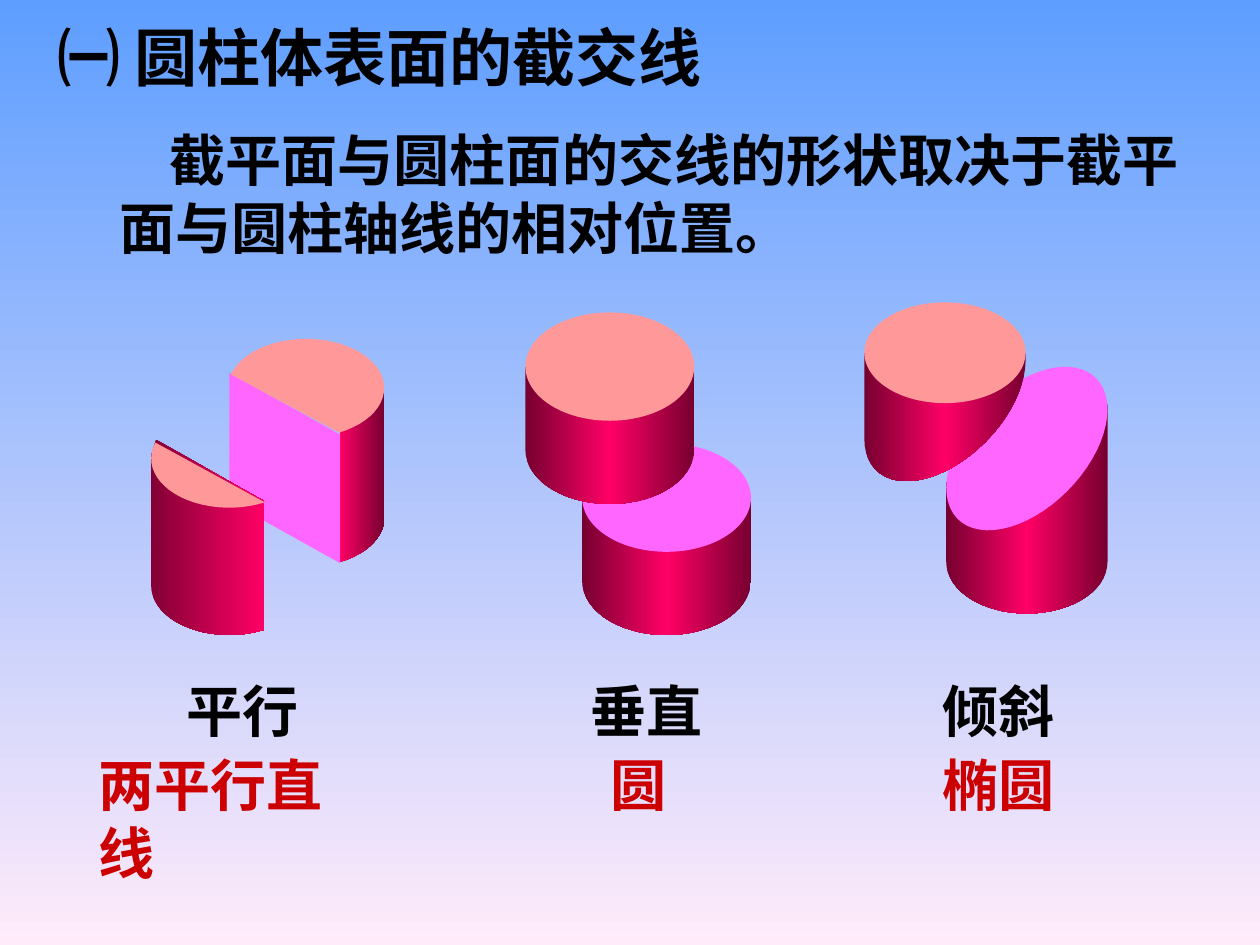
from copy import deepcopy
from dataclasses import dataclass
from math import cos, radians, sin

from lxml import etree
from pptx import Presentation
from pptx.dml.color import RGBColor
from pptx.enum.shapes import MSO_SHAPE
from pptx.enum.text import MSO_AUTO_SIZE
from pptx.oxml.ns import qn
from pptx.util import Inches, Pt

OVAL = MSO_SHAPE.OVAL
GROW = MSO_AUTO_SIZE.SHAPE_TO_FIT_TEXT


@dataclass(frozen=True)
class Theme:
    font: str = "Noto Sans CJK SC"
    title: int = 36
    body: int = 32
    ink: str = "000000"
    red: str = "CC0000"
    sky: tuple = ("5E9EFF", "FFEBFA")
    top: str = "FF9999"
    cut: str = "FF66FF"
    side: tuple = ("76002F", "FF0066", "76002F")
    left: tuple = ("820034", "FF0066")
    right: tuple = ("FF0066", "76002F")


THEME = Theme()


def blend(fill, root, tones, angle):
    fill.gradient()
    fill.gradient_angle = angle
    stops = next(root.iter(qn("a:gsLst")))
    while len(stops) < len(tones):
        stops.append(deepcopy(stops[0]))
    for i, (stop, tone) in enumerate(zip(fill.gradient_stops, tones)):
        stop.position = i / (len(tones) - 1)
        stop.color.rgb = RGBColor.from_string(tone)


def paint(shape, tone):
    shape.shadow.inherit = False
    shape.line.fill.background()
    if isinstance(tone, tuple):
        blend(shape.fill, shape._element.spPr, tone, 0)
    else:
        shape.fill.solid()
        shape.fill.fore_color.rgb = RGBColor.from_string(tone)


def add_text(slide, text, box, size, tone, wrap=False, indent=0):
    frame = slide.shapes.add_textbox(*map(Inches, box)).text_frame
    frame.word_wrap = wrap
    frame.auto_size = GROW
    para = frame.paragraphs[0]
    if indent:
        para._p.get_or_add_pPr().set("indent", str(Inches(indent)))
    run = para.add_run()
    run.text = text
    font = run.font
    font.size = Pt(size)
    font.bold = True
    font.color.rgb = RGBColor.from_string(tone)
    font.name = THEME.font
    etree.SubElement(run._r.rPr, qn("a:ea"), typeface=THEME.font)


def arc(x, y, rx, ry, start, end, skew=0):
    count = max(2, round(abs(end - start) / 6))
    turns = [radians(start + (end - start) * i / count) for i in range(count + 1)]
    return [(x + rx * cos(t), y + skew * cos(t) + ry * sin(t)) for t in turns]


def add_face(group, points, tone):
    spots = [(Inches(x), Inches(y)) for x, y in points]
    build = group.shapes.build_freeform(*spots[0], scale=1.0)
    build.add_line_segments(spots[1:], close=True)
    paint(build.convert_to_shape(), tone)


def add_disc(group, x, y, rx, ry, tone):
    box = (x - rx, y - ry, 2 * rx, 2 * ry)
    paint(group.shapes.add_shape(OVAL, *map(Inches, box)), tone)


def add_side(group, x, top, base, rx, ry, skew=0, drop=0):
    rim = [(x + rx, top - drop), (x - rx, top + drop)]
    add_face(group, rim + arc(x, base, rx, ry, 180, 0, skew), THEME.side)


def draw_split(slide):
    group = slide.shapes.add_group_shape()
    rx, ry = 0.62, 0.39
    add_face(group, [(2.7, 3.41), (3.05, 3.05)] + arc(2.43, 4.11, rx, ry, 0, 65), THEME.right)
    add_face(group, [(1.82, 2.96), (1.82, 3.98), (2.7, 4.47), (2.7, 3.45)], THEME.cut)
    add_face(group, arc(2.43, 3.08, rx, ry, 196, 425), THEME.top)
    add_face(group, [(2.1, 3.98), (1.24, 3.49), (1.2, 3.61)]
             + arc(1.82, 4.65, rx, ry, 180, 63), THEME.left)
    add_face(group, arc(1.82, 3.64, rx, ry, 63, 199), THEME.top)


def draw_level(slide):
    group = slide.shapes.add_group_shape()
    rx, ry = 0.67, 0.43
    for x, y, tone in ((5.29, 3.95, THEME.cut), (4.84, 2.91, THEME.top)):
        add_side(group, x, y, y + 0.66, rx, ry)
        add_disc(group, x, y, rx, ry, tone)


def draw_slant(slide):
    group = slide.shapes.add_group_shape()
    rx, tilt, skew = 0.64, 0.57, -0.31
    add_side(group, 8.15, 3.52, 4.46, rx, 0.41, drop=0.31)
    add_face(group, arc(8.15, 3.56, rx, tilt, 0, 360, skew), THEME.cut)
    add_side(group, 7.5, 2.8, 3.17, rx, tilt, skew)
    add_disc(group, 7.5, 2.8, rx, 0.4, THEME.top)


def main():
    deck = Presentation()
    deck.slide_width, deck.slide_height = Inches(10), Inches(7.5)
    slide = deck.slides.add_slide(deck.slide_layouts[6])
    back = slide.background.fill
    blend(back, slide._element, THEME.sky, 270)

    add_text(slide, "㈠ 圆柱体表面的截交线", (0.36, 0.1, 5.33, 0.7), THEME.title, THEME.ink)
    add_text(slide, "截平面与圆柱面的交线的形状取决于截平面与圆柱轴线的相对位置。",
             (0.85, 0.95, 8.73, 1.17), THEME.body, THEME.ink, True, 0.4)

    labels = (
        ("平行", 1.38, 1.09, "两平行直线", 0.68, 2.42),
        ("垂直", 4.59, 1.09, "圆", 4.75, 0.64),
        ("倾斜", 7.38, 1.09, "椭圆", 7.38, 1.09),
    )
    for case, x, wide, curve, left, span in labels:
        add_text(slide, case, (x, 5.32, wide, 0.64), THEME.body, THEME.ink)
        add_text(slide, curve, (left, 5.91, span, 0.64), THEME.body, THEME.red)

    draw_split(slide)
    draw_level(slide)
    draw_slant(slide)
    deck.save("out.pptx")


if __name__ == "__main__":
    main()
